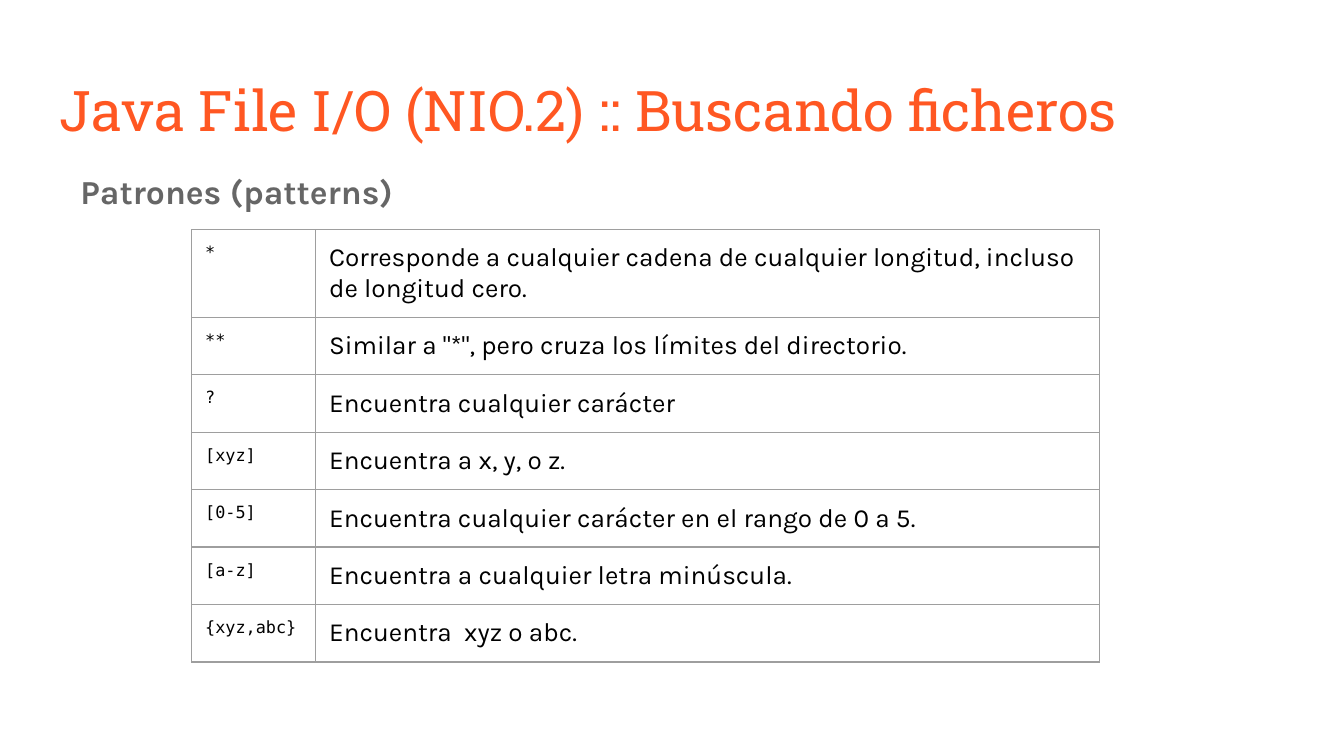
from dataclasses import dataclass

from lxml.etree import SubElement
from pptx import Presentation
from pptx.dml.color import RGBColor
from pptx.enum.text import MSO_ANCHOR, MSO_AUTO_SIZE, PP_ALIGN
from pptx.oxml.ns import qn
from pptx.util import Pt


@dataclass(frozen=True)
class Style:
    """Font, size, colour and weight of a span."""

    font: str
    size: float
    color: str
    bold: bool = False


@dataclass(frozen=True)
class Theme:
    """Type styles and line values of the deck."""

    title: Style = Style("Roboto Slab", 30, "FF5722")
    heading: Style = Style("Karla", 18, "666666", True)
    pattern: Style = Style("DejaVu Sans Mono", 9, "000000")
    meaning: Style = Style("Karla", 14, "000000")
    border: str = "9E9E9E"
    border_width: float = 0.75
    inset: float = 7.2


class SlideBuilder:
    """Adds styled elements to one slide."""

    def __init__(self, deck, theme):
        self.theme = theme
        self.page = deck.slides.add_slide(deck.slide_layouts[5])

    def add_span(self, para, text, style):
        """Add one styled span to a paragraph."""
        span = para.add_run()
        span.text = text
        span.font.name = style.font
        span.font.size = Pt(style.size)
        span.font.bold = style.bold
        span.font.color.rgb = RGBColor.from_string(style.color)

    def set_frame(self, frame, top, bottom):
        """Give a text frame its wrapping, anchor and insets."""
        frame.word_wrap = True
        frame.auto_size = MSO_AUTO_SIZE.NONE
        frame.vertical_anchor = MSO_ANCHOR.TOP
        frame.margin_left = frame.margin_right = Pt(self.theme.inset)
        frame.margin_top, frame.margin_bottom = Pt(top), Pt(bottom)

    def title(self, text, left, top, width, height):
        """Place and fill the title placeholder."""
        box = self.page.shapes.title
        box.left, box.top, box.width, box.height = map(Pt, (left, top, width, height))
        self.set_frame(box.text_frame, 5, 0)
        para = box.text_frame.paragraphs[0]
        para.alignment = PP_ALIGN.LEFT
        self.add_span(para, text, self.theme.title)

    def heading(self, text, left, top, width, height):
        """Add the heading text box."""
        box = self.page.shapes.add_textbox(*map(Pt, (left, top, width, height)))
        self.set_frame(box.text_frame, 8.6, self.theme.inset)
        para = box.text_frame.paragraphs[0]
        para.alignment = PP_ALIGN.JUSTIFY
        para.line_spacing = 1.15
        self.add_span(para, text, self.theme.heading)

    def outline(self, cell):
        """Draw the four borders of a cell."""
        properties = cell._tc.get_or_add_tcPr()
        for index, side in enumerate(("lnL", "lnR", "lnT", "lnB")):
            line = properties.makeelement(
                qn(f"a:{side}"), {"w": str(Pt(self.theme.border_width))}
            )
            fill = SubElement(line, qn("a:solidFill"))
            SubElement(fill, qn("a:srgbClr"), val=self.theme.border)
            properties.insert(index, line)

    def table(self, rows, left, top, widths, heights):
        """Add a bordered table of patterns and meanings."""
        frame = self.page.shapes.add_table(
            len(rows), len(widths),
            *map(Pt, (left, top, sum(widths), sum(heights))),
        )
        grid = frame.table
        grid.first_row = grid.horz_banding = False
        for column, width in zip(grid.columns, widths):
            column.width = Pt(width)
        styles = (self.theme.pattern, self.theme.meaning)
        for row, height, texts in zip(grid.rows, heights, rows):
            row.height = Pt(height)
            for cell, text, style in zip(row.cells, texts, styles):
                cell.fill.background()
                cell.margin_left = cell.margin_right = Pt(self.theme.inset)
                cell.margin_top = cell.margin_bottom = Pt(self.theme.inset)
                self.outline(cell)
                self.add_span(cell.text_frame.paragraphs[0], text, style)


PATTERNS = [
    ("*", "Corresponde a cualquier cadena de cualquier longitud, incluso de longitud cero."),
    ("**", 'Similar a "*", pero cruza los límites del directorio.'),
    ("?", "Encuentra cualquier carácter"),
    ("[xyz]", "Encuentra a x, y, o z."),
    ("[0-5]", "Encuentra cualquier carácter en el rango de 0 a 5."),
    ("[a-z]", "Encuentra a cualquier letra minúscula."),
    ("{xyz,abc}", "Encuentra  xyz o abc."),
]


def main():
    """Build the deck and save it."""
    deck = Presentation()
    deck.slide_width, deck.slide_height = Pt(720), Pt(405)
    slide = SlideBuilder(deck, Theme())
    slide.title("Java File I/O (NIO.2) :: Buscando ficheros", 24.5, 35.3, 671, 45.4)
    slide.heading("Patrones (patterns)", 36, 80, 647.3, 281.5)
    heights = [47] + [30.7] * (len(PATTERNS) - 1)
    slide.table(PATTERNS, 102.7, 123, (66.4, 420), heights)
    deck.save("out.pptx")


if __name__ == "__main__":
    main()
